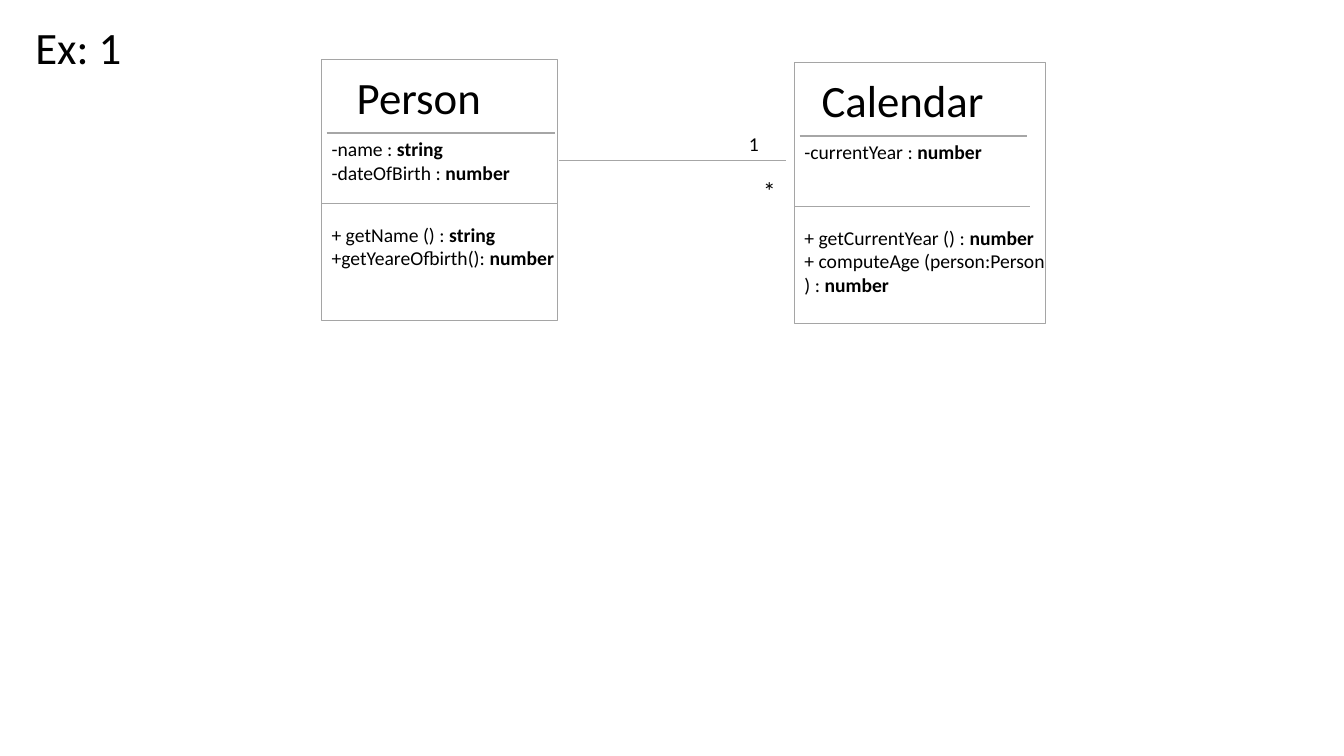
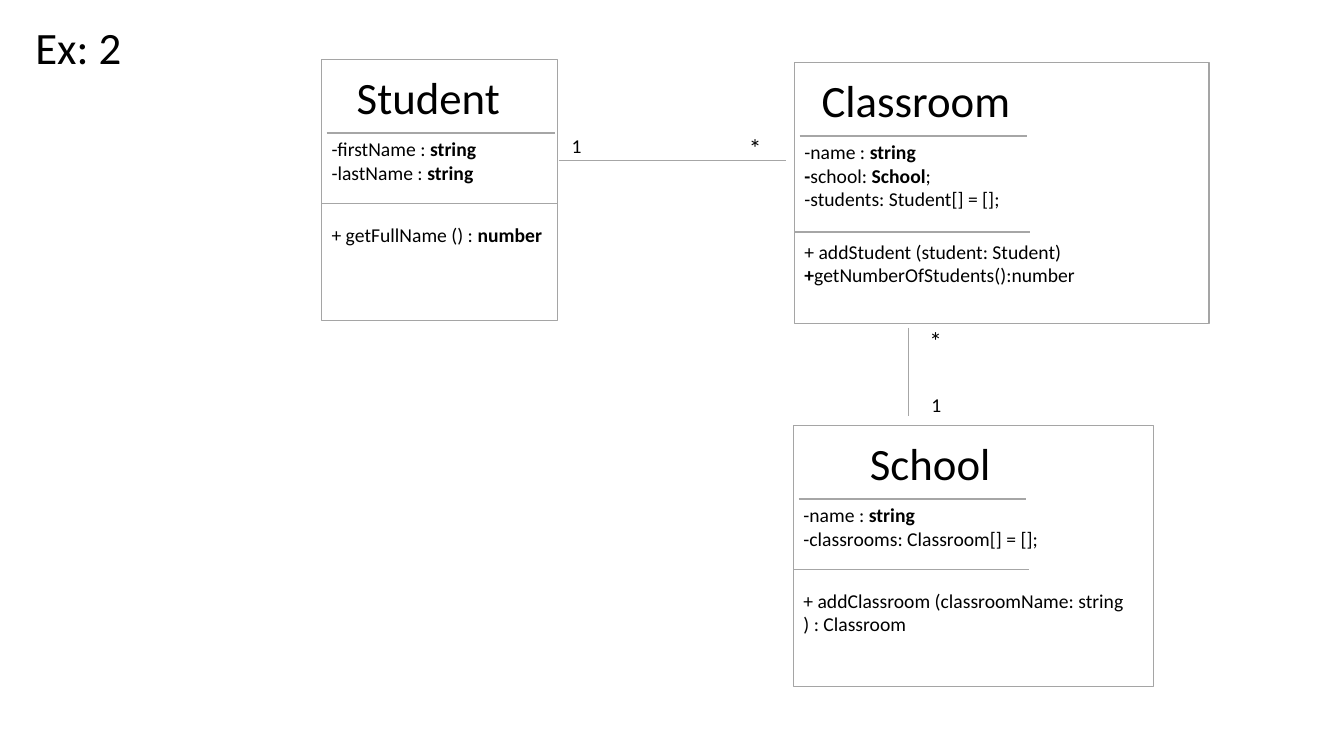
from dataclasses import dataclass

from pptx import Presentation
from pptx.dml.color import RGBColor
from pptx.enum.shapes import MSO_CONNECTOR, MSO_SHAPE
from pptx.enum.text import MSO_ANCHOR, MSO_AUTO_SIZE, PP_ALIGN
from pptx.oxml.ns import qn
from pptx.util import Inches, Pt


@dataclass(frozen=True)
class Theme:
    font: str = "Calibri"
    text: RGBColor = RGBColor(0x00, 0x00, 0x00)
    fill: RGBColor = RGBColor(0xFF, 0xFF, 0xFF)
    border: RGBColor = RGBColor(0xA5, 0xA5, 0xA5)
    rule: RGBColor = RGBColor(0xA6, 0xA6, 0xA6)
    heading: int = 32
    member: int = 14
    many: int = 18
    line: int = 1


THEME = Theme()

# Class boxes: left, top, width, height
BOX_HEIGHT = 2.59
LEFT_BOX = (3.19, 0.59, 2.34, BOX_HEIGHT)
CALENDAR_BOX = (7.88, 0.62, 2.49, BOX_HEIGHT)
CLASSROOM_BOX = (7.88, 0.62, 4.11, BOX_HEIGHT)
SCHOOL_BOX = (7.87, 4.22, 3.57, BOX_HEIGHT)


def write(tf, lines, size):
    """Fill a text frame; parts between ** marks are bold."""
    tf.word_wrap = True
    tf.auto_size = MSO_AUTO_SIZE.NONE
    tf.vertical_anchor = MSO_ANCHOR.TOP
    for i, line in enumerate(lines):
        p = tf.paragraphs[0] if i == 0 else tf.add_paragraph()
        p.alignment = PP_ALIGN.LEFT
        p.font.name = THEME.font
        p.font.size = Pt(size)
        p.font.color.rgb = THEME.text
        for j, part in enumerate(line.split("**")):
            if part:
                r = p.add_run()
                r.text = part
                if j % 2:
                    r.font.bold = True


def add_text(slide, x, y, w, h, lines, size):
    sp = slide.shapes.add_textbox(Inches(x), Inches(y), Inches(w), Inches(h))
    write(sp.text_frame, lines, size)


def add_line(slide, x1, y1, x2, y2):
    line = slide.shapes.add_connector(
        MSO_CONNECTOR.STRAIGHT, Inches(x1), Inches(y1), Inches(x2), Inches(y2))
    line.line.color.rgb = THEME.rule
    line.line.width = Pt(THEME.line)
    sp_pr = line._element.spPr
    sp_pr.append(sp_pr.makeelement(qn("a:effectLst"), {}))


def add_class(slide, box, name, attributes, methods, indent=0.17, split=1.43, gap=0.14):
    """Class box: name, attributes, then methods below the split."""
    x, y, w, h = box
    sp = slide.shapes.add_shape(
        MSO_SHAPE.RECTANGLE, Inches(x), Inches(y), Inches(w), Inches(h))
    sp.shadow.inherit = False
    sp.fill.solid()
    sp.fill.fore_color.rgb = THEME.fill
    sp.line.color.rgb = THEME.border
    sp.line.width = Pt(THEME.line)

    # Name
    add_text(slide, x + indent, y + 0.05, 2.3, 0.64, [name], THEME.heading)
    add_line(slide, x + 0.05, y + 0.73, x + 2.31, y + 0.73)

    # Attributes
    add_text(slide, x, y + 0.72, 3, 0.81, attributes, THEME.member)
    add_line(slide, x, y + split, x + 2.34, y + split)

    # Methods
    add_text(slide, x, y + split + gap, 3.9, 0.81, methods, THEME.member)


def add_multiplicity(slide, x, y, mark):
    size = THEME.many if mark == "*" else THEME.member
    add_text(slide, x, y, 0.35, 0.4, [mark], size)


def add_association(slide, line, marks):
    """Line between two classes with its multiplicities."""
    add_line(slide, *line)
    for mark in marks:
        add_multiplicity(slide, *mark)


def add_exercise(prs, number):
    slide = prs.slides.add_slide(prs.slide_layouts[5])
    title = slide.shapes.title
    title.left, title.top = Inches(0.25), Inches(0.15)
    title.width, title.height = Inches(2), Inches(0.64)
    write(title.text_frame, [f"Ex: {number}"], THEME.heading)
    return slide


def build_person_calendar(prs):
    slide = add_exercise(prs, 1)
    add_class(slide, LEFT_BOX, "Person",
              ["-name : **string**", "-dateOfBirth : **number**"],
              ["+ getName () : **string**", "+getYeareOfbirth(): **number**"],
              indent=0.25)
    add_class(slide, CALENDAR_BOX, "Calendar",
              ["-currentYear : **number**"],
              ["+ getCurrentYear () : **number**",
               "+ computeAge (person:Person", ") : **number**"])
    add_association(slide, (5.54, 1.59, 7.8, 1.59),
                    [(7.33, 1.26, "1"), (7.47, 1.69, "*")])


def build_school(prs):
    slide = add_exercise(prs, 2)
    add_class(slide, LEFT_BOX, "Student",
              ["-firstName : **string**", "-lastName : **string**"],
              ["+ getFullName () : **number**"],
              indent=0.25)
    add_class(slide, CLASSROOM_BOX, "Classroom",
              ["-name : **string**", "**-**school: **School**;",
               "-students: Student[] = [];"],
              ["+ addStudent (student: Student)",
               "**+**getNumberOfStudents():number"],
              split=1.68, gap=0.03)
    add_class(slide, SCHOOL_BOX, "School",
              ["-name : **string**", "-classrooms: Classroom[] = [];"],
              ["+ addClassroom (classroomName: string", ") : Classroom"],
              indent=0.66)
    # Student to Classroom, Classroom to School
    add_association(slide, (5.54, 1.59, 7.8, 1.59),
                    [(5.57, 1.28, "1"), (7.33, 1.26, "*")])
    add_association(slide, (9.01, 3.25, 9.01, 4.13),
                    [(9.12, 3.18, "*"), (9.14, 3.85, "1")])


def main():
    prs = Presentation()
    prs.slide_width, prs.slide_height = Inches(13.33), Inches(7.5)
    build_person_calendar(prs)
    build_school(prs)
    prs.save("out.pptx")


if __name__ == "__main__":
    main()
